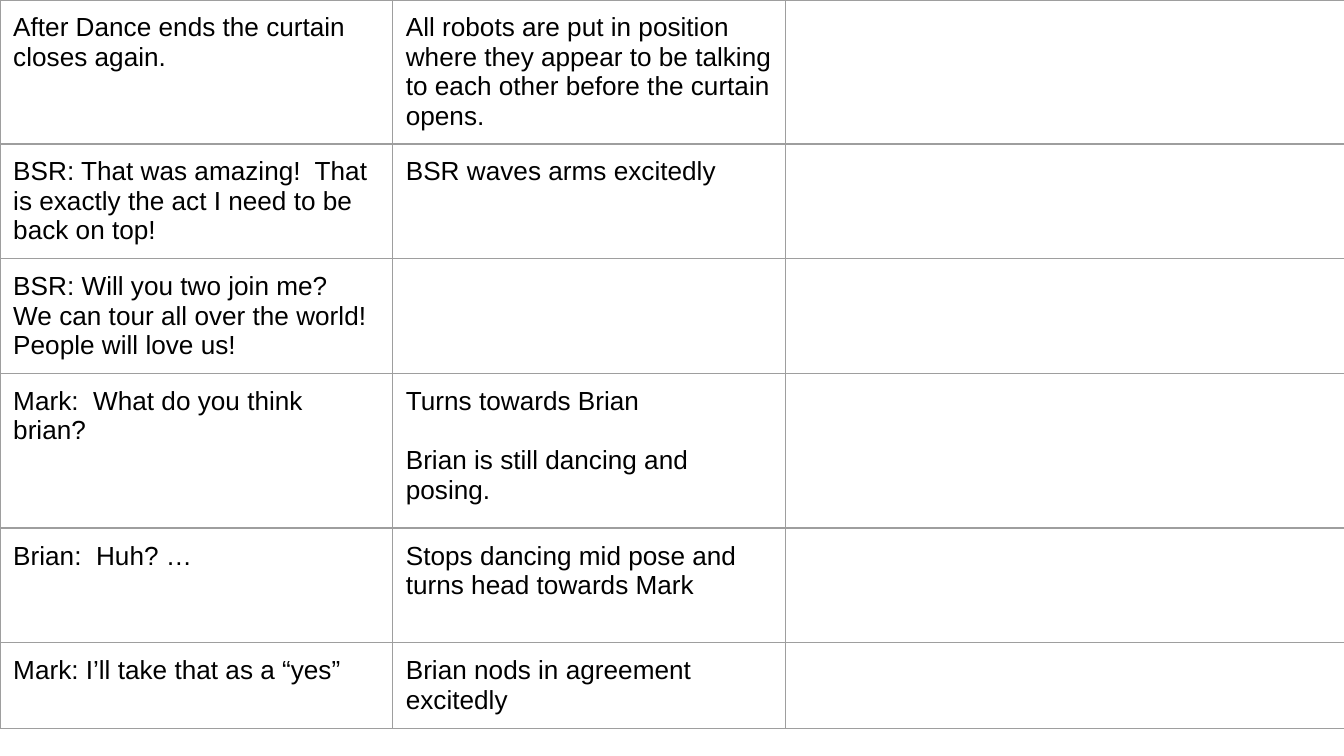
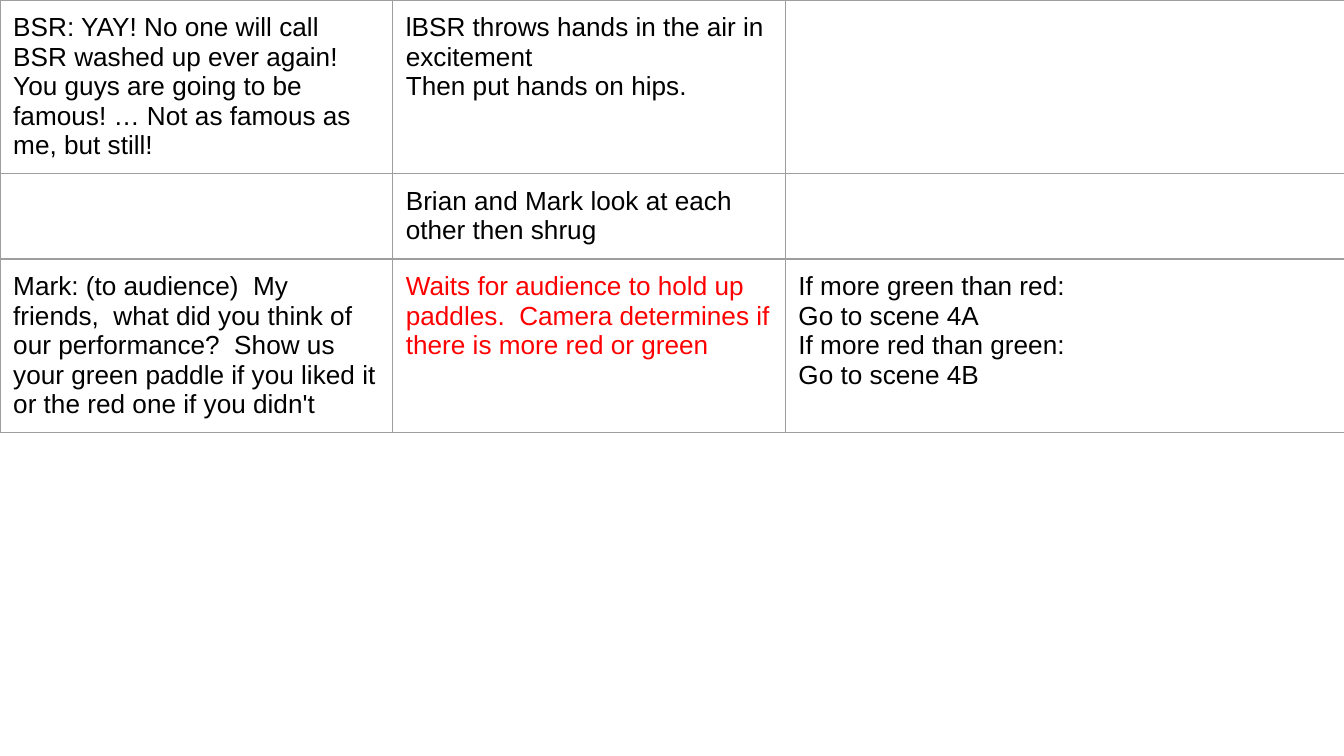
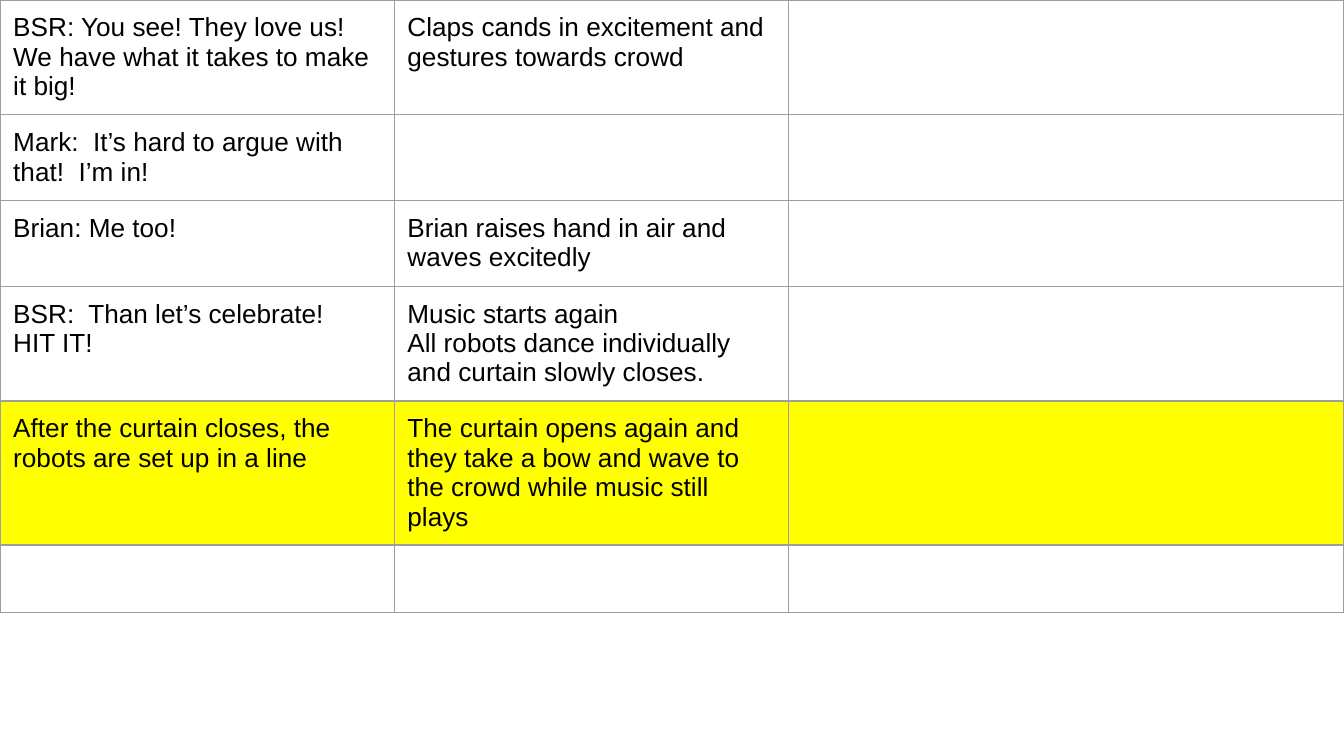
from lxml import etree
from pptx import Presentation
from pptx import util as u
from pptx.dml import color
from pptx.enum import text
from pptx.oxml import ns

COLOURS = {"ink": "000000", "rule": "9E9E9E", "cue": "FF0000", "highlight": "FFFF00"}
FONT = {"name": "Arial", "size": u.Pt(14)}
CELL = {
    "margin_left": u.Cm(0.25),
    "margin_right": u.Cm(0.25),
    "margin_top": u.Cm(0.25),
    "margin_bottom": u.Cm(0.25),
    "vertical_anchor": text.MSO_ANCHOR.TOP,
}
PLAIN_TABLE = {"first_row": False, "horz_banding": False}
BLANK_LINE = u.Pt(16)

# Each scene: column widths, then rows of height and cells (speech, action, note), in cm.
# A newline starts a paragraph; an empty line becomes space before the next one.
SCENES = [
    ((7.42, 7.42, 10.59), [
        (2.72, ("After Dance ends the curtain closes again.",
                "All robots are put in position where they appear to be talking "
                "to each other before the curtain opens.", "")),
        (2.17, ("BSR: That was amazing!  That is exactly the act I need to be back on top!",
                "BSR waves arms excitedly", "")),
        (2.17, ("BSR: Will you two join me?  We can tour all over the world!  "
                "People will love us!", "", "")),
        (2.92, ("Mark:  What do you think brian?",
                "Turns towards Brian\n\nBrian is still dancing and posing.", "")),
        (2.17, ("Brian:  Huh? …",
                "Stops dancing mid pose and turns head towards Mark", "")),
        (1.62, ("Mark: I’ll take that as a “yes”",
                "Brian nods in agreement excitedly", "")),
    ]),
    ((7.42, 7.42, 10.59), [
        (3.27, ("BSR: YAY! No one will call BSR washed up ever again!  You guys are "
                "going to be famous! … Not as famous as me, but still!",
                "lBSR throws hands in the air in excitement\nThen put hands on hips.", "")),
        (1.62, ("", "Brian and Mark look at each other then shrug", "")),
        (3.27, ("Mark: (to audience)  My friends,  what did you think of our performance?  "
                "Show us your green paddle if you liked it or the red one if you didn't",
                "Waits for audience to hold up paddles.  Camera determines if there is "
                "more red or green",
                "If more green than red:\nGo to scene 4A\n"
                "If more red than green:\nGo to scene 4B")),
    ]),
    ((7.45, 7.45, 10.5), [
        (2.17, ("BSR: You see! They love us!\nWe have what it takes to make it big!",
                "Claps cands in excitement and gestures towards crowd", "")),
        (1.62, ("Mark:  It’s hard to argue with that!  I’m in!", "", "")),
        (1.62, ("Brian: Me too!", "Brian raises hand in air and waves excitedly", "")),
        (2.17, ("BSR:  Than let’s celebrate!\nHIT IT!",
                "Music starts again\nAll robots dance individually and curtain slowly closes.",
                "")),
        (2.72, ("After the curtain closes, the robots are set up in a line",
                "The curtain opens again and they take a bow and wave to the crowd "
                "while music still plays", "")),
        (1.21, ("", "", "")),
    ]),
]

# Emphasis by scene, row and column
CUE_CELLS = {(1, 2, 1)}
HIGHLIGHT_ROWS = {(2, 4)}


def apply(target, values):
    for name, value in values.items():
        setattr(target, name, value)


def add_borders(cell):
    properties = cell._tc.get_or_add_tcPr()
    for side in ("a:lnL", "a:lnR", "a:lnT", "a:lnB"):
        line = etree.SubElement(properties, ns.qn(side), w=str(u.Pt(0.75)))
        fill = etree.SubElement(line, ns.qn("a:solidFill"))
        etree.SubElement(fill, ns.qn("a:srgbClr"), val=COLOURS["rule"])


deck = Presentation()
deck.slide_width, deck.slide_height = u.Cm(25.4), u.Cm(14.29)

for scene, (widths, rows) in enumerate(SCENES):
    # Script table at the top left of the page
    page = deck.slides.add_slide(deck.slide_layouts[6])
    total_height = sum(height for height, _ in rows)
    table = page.shapes.add_table(len(rows), len(widths), 0, 0,
                                  u.Cm(sum(widths)), u.Cm(total_height)).table
    apply(table, PLAIN_TABLE)
    for column, width in zip(table.columns, widths):
        column.width = u.Cm(width)

    for row, (height, entries) in enumerate(rows):
        table.rows[row].height = u.Cm(height)
        for column, entry in enumerate(entries):
            # Cell frame and fill
            cell = table.cell(row, column)
            apply(cell, CELL)
            add_borders(cell)
            if (scene, row) in HIGHLIGHT_ROWS:
                cell.fill.solid()
                cell.fill.fore_color.rgb = color.RGBColor.from_string(COLOURS["highlight"])
            else:
                cell.fill.background()
            if not entry:
                continue

            # Cell text
            ink = COLOURS["cue" if (scene, row, column) in CUE_CELLS else "ink"]
            para, gap = cell.text_frame.paragraphs[0], False
            for line in entry.split("\n"):
                if not line:
                    gap = True
                    continue
                if para.runs:
                    para = cell.text_frame.add_paragraph()
                if gap:
                    para.space_before, gap = BLANK_LINE, False
                span = para.add_run()
                span.text = line
                apply(span.font, FONT)
                span.font.color.rgb = color.RGBColor.from_string(ink)

deck.save("out.pptx")
